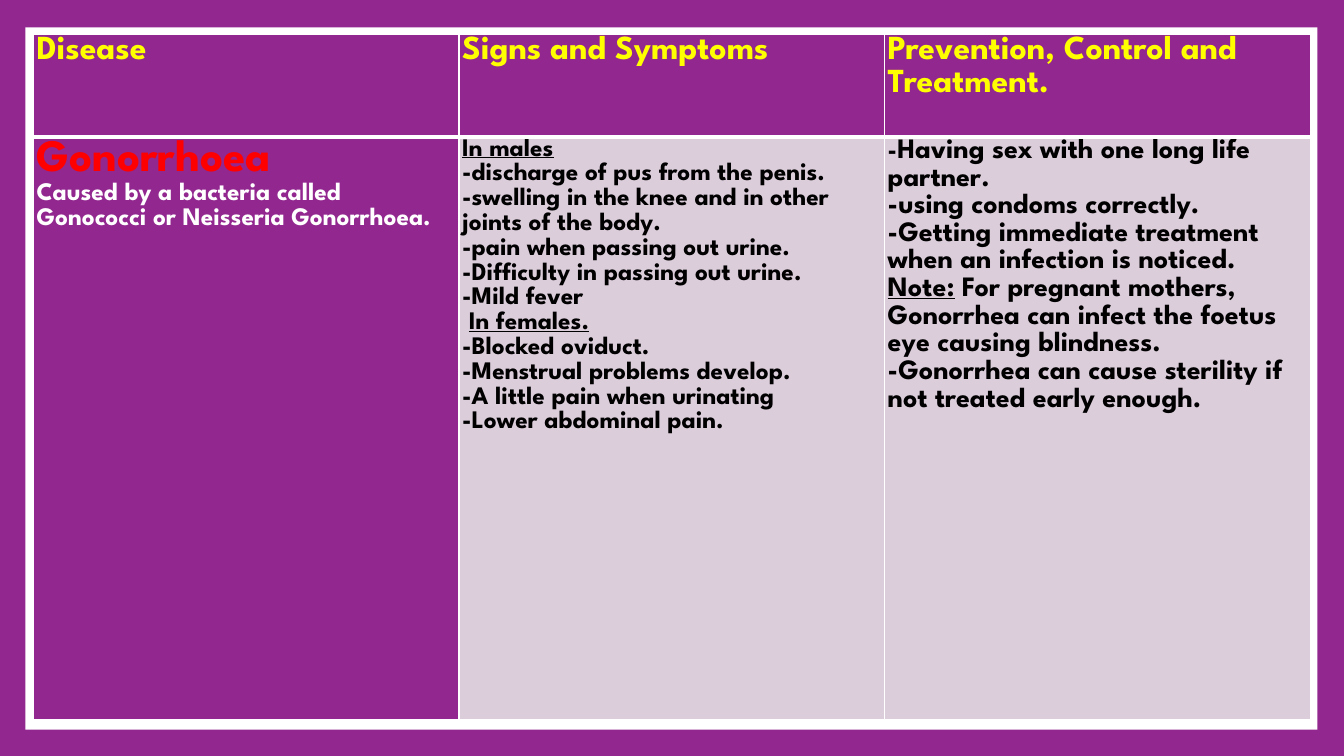
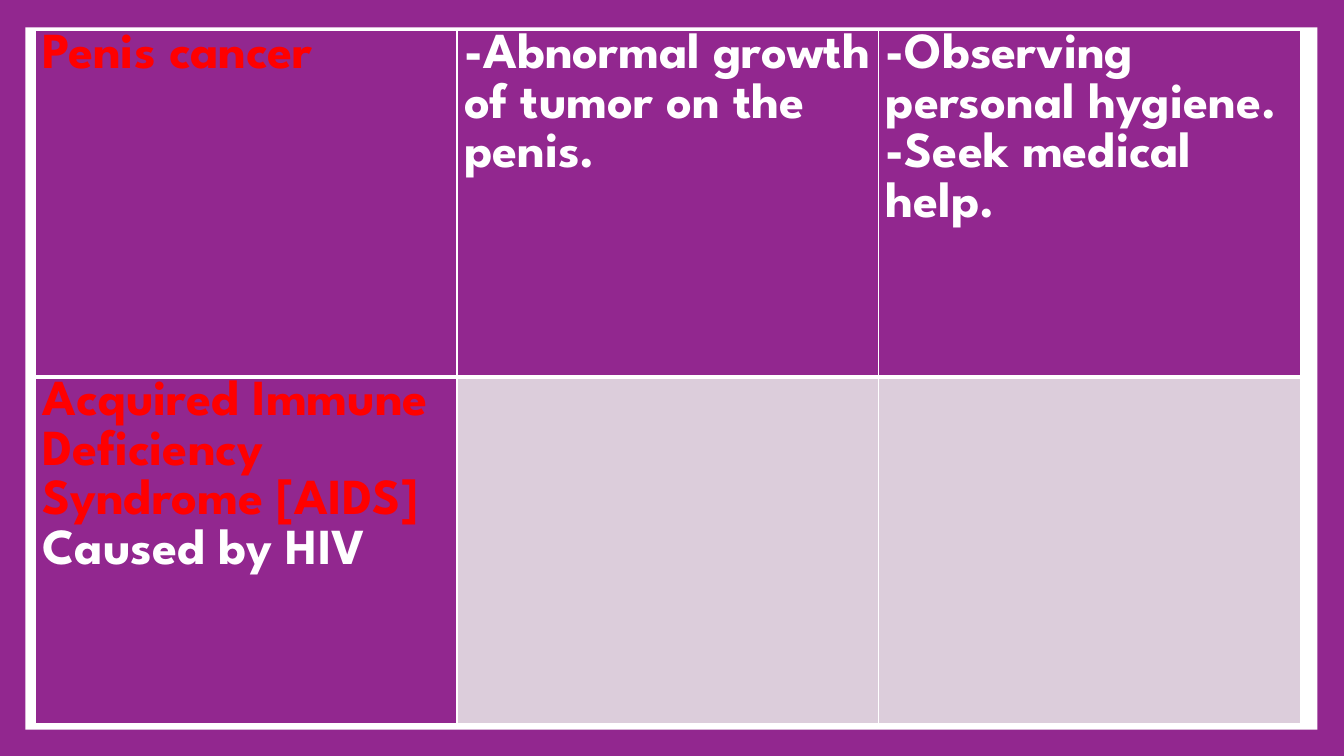
from lxml import etree
from pptx import Presentation
from pptx.dml.color import RGBColor
from pptx.enum.shapes import MSO_SHAPE
from pptx.oxml.ns import qn
from pptx.util import Cm, Pt

PURPLE = RGBColor(0x92, 0x27, 0x8F)
LILAC = RGBColor(0xDC, 0xCD, 0xDB)
WHITE = RGBColor(0xFF, 0xFF, 0xFF)
BLACK = RGBColor(0x00, 0x00, 0x00)
RED = RGBColor(0xFF, 0x00, 0x00)
YELLOW = RGBColor(0xFF, 0xFF, 0x00)
FONT = "League Spartan"
LINE_SPACING = 1.07
THIN, THICK = Pt(1), Pt(3)

HEADING = (24, YELLOW)
DISEASE = (32, RED)
CAUSE = (18, WHITE)
SYMPTOM = (18, BLACK)
TREATMENT = (20, BLACK)
BIG_DISEASE = (36, RED)
BIG_TEXT = (36, WHITE)
UNDERLINED = {"underline": True}

# Each cell lists (style, lines); a line is a string or a list of (text, run format).
DISEASE_TABLES = [
    {
        "left": 0.84, "top": 0.86, "width": 32.18, "inset": 0.08,
        "row_heights": [2.59, 14.68],
        "rows": [
            [
                [(HEADING, ["Disease"])],
                [(HEADING, ["Signs and Symptoms"])],
                [(HEADING, ["Prevention, Control and Treatment."])],
            ],
            [
                [
                    (DISEASE, ["Gonorrhoea"]),
                    (CAUSE, ["Caused by a bacteria called Gonococci or Neisseria Gonorrhoea."]),
                ],
                [(SYMPTOM, [
                    [("In males", UNDERLINED)],
                    "-discharge of pus from the penis.",
                    "-swelling in the knee and in other joints of the body.",
                    "-pain when passing out urine.",
                    "-Difficulty in passing out urine.",
                    "-Mild fever",
                    [(" ", {}), ("In females.", UNDERLINED)],
                    "-Blocked oviduct.",
                    "-Menstrual problems develop.",
                    "-A little pain when urinating",
                    "-Lower abdominal pain.",
                ])],
                [(TREATMENT, [
                    [("-", {"size": Pt(18)}), ("Having sex with one long life partner.", {})],
                    "-using condoms correctly.",
                    "-Getting immediate treatment when an infection is noticed.",
                    [("Note:", UNDERLINED),
                     (" For pregnant mothers, Gonorrhea can infect the foetus eye causing blindness.", {})],
                    "-Gonorrhea can cause sterility if not treated early enough.",
                ])],
            ],
        ],
    },
    {
        "left": 0.89, "top": 0.76, "width": 31.88, "inset": 0.18,
        "row_heights": [8.74, 8.74],
        "rows": [
            [
                [(BIG_DISEASE, ["Penis cancer"])],
                [(BIG_TEXT, ["-Abnormal growth of tumor on the penis."])],
                [(BIG_TEXT, ["-Observing personal hygiene.", "-Seek medical help."])],
            ],
            [
                [
                    (BIG_DISEASE, ["Acquired Immune Deficiency Syndrome [AIDS]"]),
                    (BIG_TEXT, ["Caused by HIV"]),
                ],
                [],
                [],
            ],
        ],
    },
]


def set_borders(cell, top, bottom):
    properties = cell._tc.get_or_add_tcPr()
    for side, width in (("lnL", THIN), ("lnR", THIN), ("lnT", top), ("lnB", bottom)):
        border = etree.SubElement(properties, qn(f"a:{side}"), w=str(int(width)))
        fill = etree.SubElement(border, qn("a:solidFill"))
        etree.SubElement(fill, qn("a:srgbClr"), val=str(WHITE))


def write_cell(cell, blocks):
    frame = cell.text_frame
    lines = [(style, line) for style, block in blocks for line in block]
    for index, ((size, colour), line) in enumerate(lines):
        paragraph = frame.paragraphs[0] if index == 0 else frame.add_paragraph()
        paragraph.line_spacing = LINE_SPACING
        font = paragraph.font
        font.name, font.size, font.bold = FONT, Pt(size), True
        font.color.rgb = colour
        for text, run_format in [(line, {})] if isinstance(line, str) else line:
            run = paragraph.add_run()
            run.text = text
            for attribute, value in run_format.items():
                setattr(run.font, attribute, value)


def add_disease_table(slide, content):
    rows, heights = content["rows"], content["row_heights"]
    column_count = len(rows[0])
    table = slide.shapes.add_table(
        len(rows), column_count, Cm(content["left"]), Cm(content["top"]),
        Cm(content["width"]), Cm(sum(heights))).table
    for column in table.columns:
        column.width = Cm(content["width"] / column_count)
    for row_index, (row, height) in enumerate(zip(rows, heights)):
        table.rows[row_index].height = Cm(height)
        for column_index, blocks in enumerate(row):
            cell = table.cell(row_index, column_index)
            cell.margin_left = cell.margin_right = Cm(content["inset"])
            cell.margin_top = cell.margin_bottom = 0
            is_header = row_index == 0
            set_borders(cell, *((THIN, THICK) if is_header else (THICK, THIN)))
            cell.fill.solid()
            cell.fill.fore_color.rgb = PURPLE if is_header or column_index == 0 else LILAC
            write_cell(cell, blocks)


def add_master_panel(master, slide):
    master.background.fill.solid()
    master.background.fill.fore_color.rgb = PURPLE
    panel = slide.shapes.add_shape(
        MSO_SHAPE.RECTANGLE, Cm(0.64), Cm(0.69), Cm(32.56), Cm(17.7))
    panel.shadow.inherit = False
    panel.fill.solid()
    panel.fill.fore_color.rgb = WHITE
    panel.line.fill.background()
    panel.element.nvSpPr.cNvPr.set("id", "99")
    master.element.cSld.spTree.insert(2, panel.element)


def main():
    prs = Presentation()
    prs.slide_width, prs.slide_height = Cm(33.87), Cm(19.05)
    slides = [prs.slides.add_slide(prs.slide_layouts[6]) for _ in DISEASE_TABLES]
    add_master_panel(prs.slide_master, slides[0])
    for slide, content in zip(slides, DISEASE_TABLES):
        add_disease_table(slide, content)
    prs.save("out.pptx")


if __name__ == "__main__":
    main()
